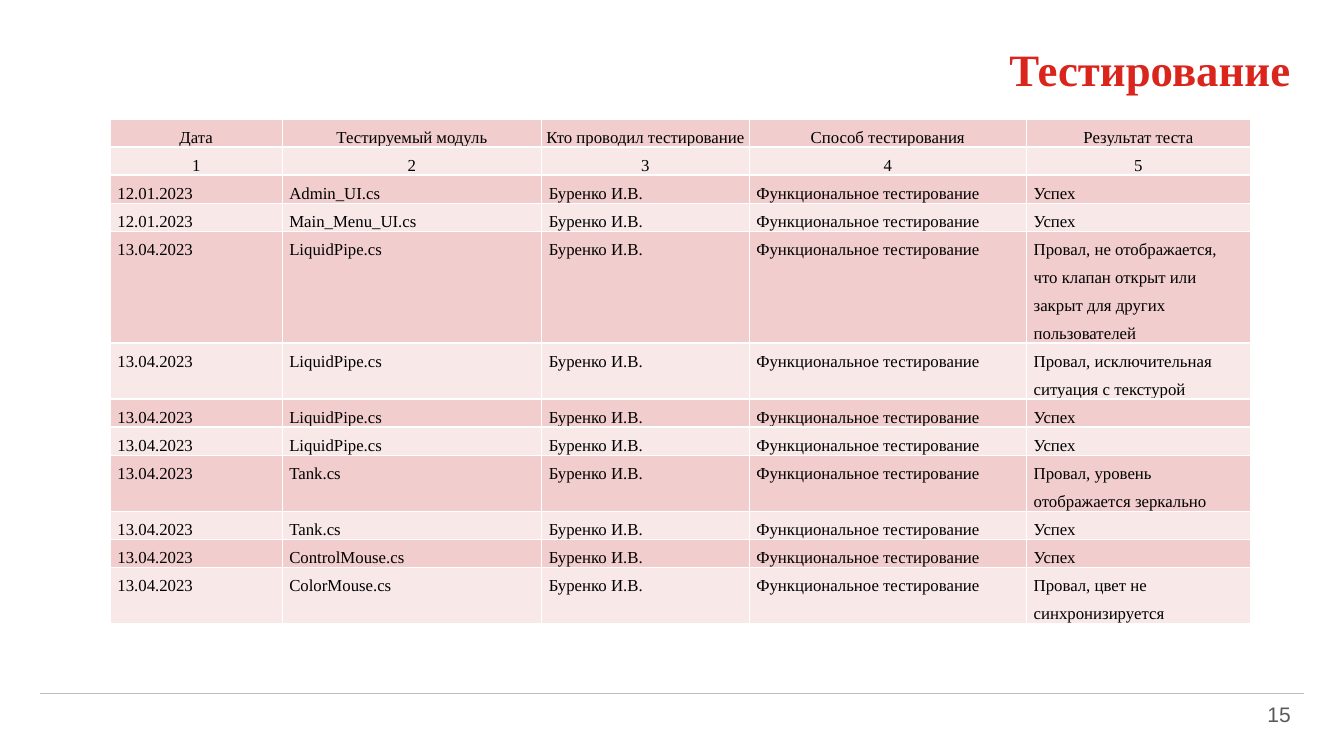
from dataclasses import dataclass

from lxml.etree import SubElement
from pptx import Presentation
from pptx.dml.color import RGBColor
from pptx.enum.shapes import MSO_CONNECTOR
from pptx.enum.text import MSO_ANCHOR, MSO_AUTO_SIZE, PP_ALIGN
from pptx.oxml.ns import qn
from pptx.util import Cm, Pt


@dataclass(frozen=True)
class Theme:
    """Colours, fonts and type sizes of the slide."""
    red: str = "DA251D"
    ink: str = "000000"
    grey: str = "595959"
    rule: str = "BFBFBF"
    border: str = "FFFFFF"
    bands: tuple = ("F1CDCD", "F8E8E8")
    serif: str = "Times New Roman"
    sans: str = "Arial"
    title: int = 32
    cell: int = 12
    number: int = 15


THEME = Theme()
TESTER = "Буренко И.В."
METHOD = "Функциональное тестирование"
HEADER = ("Дата", "Тестируемый модуль", "Кто проводил тестирование",
          "Способ тестирования", "Результат теста")
TESTS = (
    ("12.01.2023", "Admin_UI.cs", "Успех", 1),
    ("12.01.2023", "Main_Menu_UI.cs", "Успех", 1),
    ("13.04.2023", "LiquidPipe.cs",
     "Провал, не отображается, что клапан открыт или закрыт для других пользователей", 4),
    ("13.04.2023", "LiquidPipe.cs", "Провал, исключительная ситуация с текстурой", 2),
    ("13.04.2023", "LiquidPipe.cs", "Успех", 1),
    ("13.04.2023", "LiquidPipe.cs", "Успех", 1),
    ("13.04.2023", "Tank.cs", "Провал, уровень отображается зеркально", 2),
    ("13.04.2023", "Tank.cs", "Успех", 1),
    ("13.04.2023", "ControlMouse.cs", "Успех", 1),
    ("13.04.2023", "ColorMouse.cs", "Провал, цвет не синхронизируется", 2),
)
COLUMNS = (4.33, 6.54, 5.23, 6.99, 5.64)
LINE_HEIGHT = 0.7


def style(p, size, color, font, align, bold=False):
    """Set the font and alignment of a paragraph."""
    p.alignment = align
    p.font.size, p.font.name, p.font.bold = Pt(size), font, bold
    p.font.color.rgb = RGBColor.from_string(color)


def place_text(sp, text, box, size, color, font, bold=False):
    """Fill a shape with one right-aligned line in the given box."""
    sp.left, sp.top, sp.width, sp.height = (Cm(v) for v in box)
    tf = sp.text_frame
    tf.text = text
    tf.word_wrap = True
    tf.auto_size = MSO_AUTO_SIZE.NONE
    tf.vertical_anchor = MSO_ANCHOR.MIDDLE
    tf.margin_left = tf.margin_right = Cm(0.33)
    tf.margin_top = tf.margin_bottom = Cm(0.16)
    style(tf.paragraphs[0], size, color, font, PP_ALIGN.RIGHT, bold)


def add_title(s, box):
    """Place the slide title."""
    place_text(s.shapes.title, "Тестирование", box,
               THEME.title, THEME.red, THEME.serif, True)


def add_footer(s, box):
    """Draw the footer rule with the page number under its right end."""
    x, y, w, h = box
    rule = s.shapes.add_connector(MSO_CONNECTOR.STRAIGHT, Cm(x), Cm(y), Cm(x + w), Cm(y))
    rule.line.color.rgb = RGBColor.from_string(THEME.rule)
    rule.line.width = Pt(0.75)
    SubElement(rule._element.spPr, qn("a:effectLst"))
    number_w = 2.1
    number = s.shapes.add_textbox(0, 0, 0, 0)
    place_text(number, "15", (x + w - number_w, y, number_w, h),
               THEME.number, THEME.grey, THEME.sans)


def add_borders(cell):
    """Give a cell a thin border on all four sides."""
    tc_pr = cell._tc.get_or_add_tcPr()
    for side in ("a:lnL", "a:lnR", "a:lnT", "a:lnB"):
        ln = SubElement(tc_pr, qn(side), w=str(Pt(1)))
        SubElement(SubElement(ln, qn("a:solidFill")), qn("a:srgbClr"), val=THEME.border)


def fill_cell(cell, text, band, align, inset):
    """Write and format one table cell."""
    add_borders(cell)
    cell.fill.solid()
    cell.fill.fore_color.rgb = RGBColor.from_string(band)
    cell.margin_left = cell.margin_right = Cm(inset)
    cell.margin_top = cell.margin_bottom = 0
    cell.text = text
    p = cell.text_frame.paragraphs[0]
    p.line_spacing = 1.5
    style(p, THEME.cell, THEME.ink, THEME.serif, align)


def add_tests(s, x, y):
    """Build the table of tests with its two heading rows."""
    rows = [(HEADER, 1), (tuple(str(i + 1) for i in range(len(HEADER))), 1)]
    rows += [((date, module, TESTER, METHOD, result), lines)
             for date, module, result, lines in TESTS]
    height = LINE_HEIGHT * sum(lines for _, lines in rows)
    table = s.shapes.add_table(len(rows), len(COLUMNS), Cm(x), Cm(y),
                               Cm(sum(COLUMNS)), Cm(height)).table
    table.first_row = table.horz_banding = False
    for column, width in zip(table.columns, COLUMNS):
        column.width = Cm(width)
    for i, (texts, lines) in enumerate(rows):
        table.rows[i].height = Cm(LINE_HEIGHT * lines)
        for j, text in enumerate(texts):
            if i < 2:
                align, inset = PP_ALIGN.CENTER, 0.05
            else:
                last = j == len(COLUMNS) - 1
                align, inset = PP_ALIGN.LEFT if last else PP_ALIGN.JUSTIFY, 0.18
            fill_cell(table.cell(i, j), text, THEME.bands[i % 2], align, inset)


def main():
    """Build and save the presentation."""
    prs = Presentation()
    prs.slide_width, prs.slide_height = Cm(33.87), Cm(19.05)
    s = prs.slides.add_slide(prs.slide_layouts[5])
    add_title(s, (7.22, 0.9, 25.63, 1.65))
    add_tests(s, 2.78, 3)
    add_footer(s, (1, 17.48, 31.86, 1.02))
    prs.save("out.pptx")


if __name__ == "__main__":
    main()
